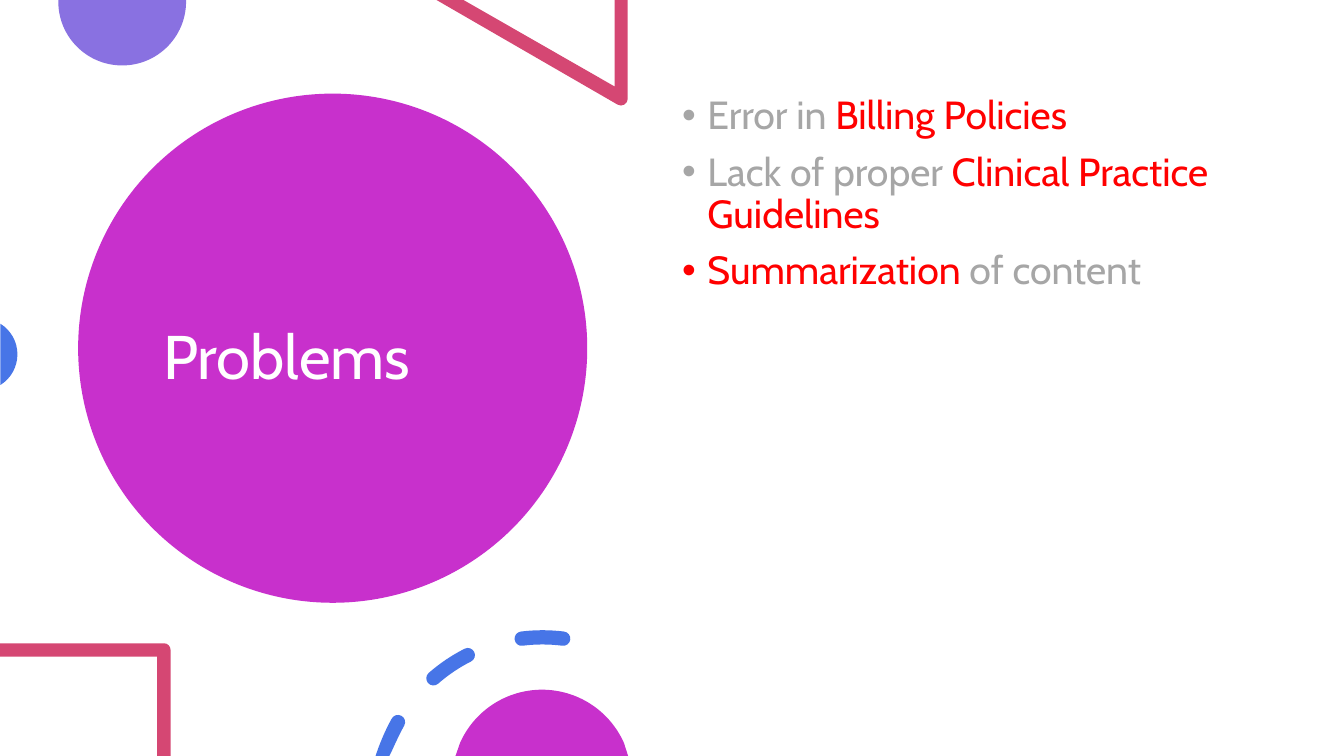
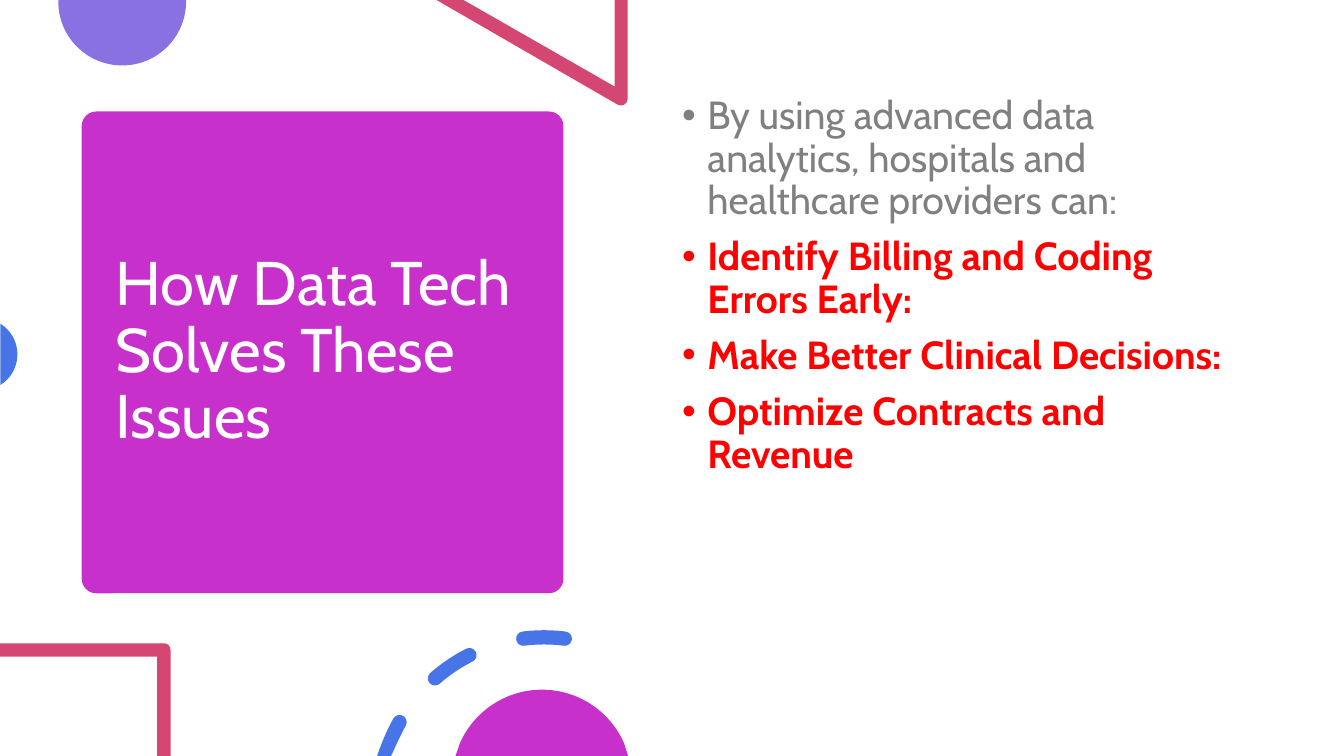
from dataclasses import dataclass
from itertools import chain
from math import ceil, cos, radians, sin, tan

from lxml.etree import SubElement
from pptx import Presentation
from pptx.dml.color import RGBColor
from pptx.enum.shapes import MSO_SHAPE as Preset
from pptx.enum.text import MSO_ANCHOR as Anchor
from pptx.oxml.ns import qn
from pptx.shapes.autoshape import Shape
from pptx.slide import Slide
from pptx.text.text import TextFrame
from pptx.util import Cm, Pt

WIDTH, HEIGHT = 33.87, 19.05
FONT = "Cabin"
MAGENTA = RGBColor(0xC8, 0x30, 0xCC)
VIOLET = RGBColor(0x89, 0x71, 0xE1)
ROSE = RGBColor(0xD5, 0x47, 0x73)
BLUE = RGBColor(0x47, 0x75, 0xE7)
RED = RGBColor(0xFF, 0x00, 0x00)
LIGHT_GRAY = RGBColor(0xA6, 0xA6, 0xA6)
GRAY = RGBColor(0x80, 0x80, 0x80)
WHITE = RGBColor(0xFF, 0xFF, 0xFF)

BODY_BOX = (16.94, 2.29, 14.61, 13.6)
BULLET_INDENT = 0.64

Point = tuple[float, float]
Step = tuple[Point, ...]
Box = tuple[float, float, float, float]


@dataclass(frozen=True)
class Phrase:
    text: str
    color: RGBColor


@dataclass(frozen=True)
class Bullet:
    phrases: tuple[Phrase, ...]
    bold: bool = False


@dataclass(frozen=True)
class Panel:
    preset: Preset
    box: Box
    corner: float | None = None


@dataclass(frozen=True)
class Topic:
    title: str
    title_box: Box
    panel: Panel
    ring_x: float
    bullets: tuple[Bullet, ...]


@dataclass(frozen=True)
class Ornament:
    color: RGBColor
    outlines: list[list[Step]]


TOPICS = (
    Topic(
        "Problems",
        (3.86, 3.42, 8.99, 11.3),
        Panel(Preset.OVAL, (1.97, 2.36, 12.83, 12.83)),
        13.67,
        (
            Bullet((Phrase("Error in ", LIGHT_GRAY), Phrase("Billing Policies", RED))),
            Bullet((
                Phrase("Lack of proper ", LIGHT_GRAY),
                Phrase("Clinical Practice Guidelines", RED),
            )),
            Bullet((Phrase("Summarization", RED), Phrase(" of content", LIGHT_GRAY))),
        ),
    ),
    Topic(
        "How Data Tech Solves These Issues",
        (2.67, 3.09, 10.95, 11.58),
        Panel(Preset.ROUNDED_RECTANGLE, (2.06, 2.81, 12.14, 12.14), 0.03),
        13.71,
        (
            Bullet((Phrase(
                "By using advanced data analytics, hospitals and healthcare providers can:",
                GRAY,
            ),)),
            Bullet((Phrase("Identify Billing and Coding Errors Early:", RED),), True),
            Bullet((Phrase("Make Better Clinical Decisions:", RED),), True),
            Bullet((Phrase("Optimize Contracts and Revenue", RED),), True),
        ),
    ),
)


def lines(*points: Point) -> list[Step]:
    return [(point,) for point in points]


def on_circle(center: Point, radius: float, degrees: float) -> Point:
    angle = radians(degrees)
    return center[0] + radius * cos(angle), center[1] + radius * sin(angle)


def arc(center: Point, radius: float, start: float, end: float) -> list[Step]:
    count = ceil(abs(end - start) / 90)
    sweep = (end - start) / count
    reach = 4 / 3 * tan(radians(sweep) / 4)
    steps = lines(on_circle(center, radius, start))
    for index in range(count):
        angle = start + index * sweep
        x0, y0 = on_circle(center, radius, angle)
        x1, y1 = on_circle(center, radius, angle + sweep)
        leave = (x0 - reach * (y0 - center[1]), y0 + reach * (x0 - center[0]))
        arrive = (x1 + reach * (y1 - center[1]), y1 - reach * (x1 - center[0]))
        steps.append((leave, arrive, (x1, y1)))
    return steps


def ring_dash(center: Point, middle: float) -> list[Step]:
    radius, half_width, half_sweep = 4.17, 0.18, 7.2
    start, end = middle - half_sweep, middle + half_sweep
    start_cap = on_circle(center, radius, start)
    end_cap = on_circle(center, radius, end)
    outline = (
        arc(center, radius + half_width, start, end)
        + arc(end_cap, half_width, end, end + 180)[1:]
        + arc(center, radius - half_width, end, start)[1:]
        + arc(start_cap, half_width, start + 180, start + 360)[1:]
    )
    return [tuple((x, min(y, HEIGHT)) for x, y in step) for step in outline]


def ornaments(ring_x: float) -> list[Ornament]:
    top_disc = lines((4.69, 0)) + arc((3.08, 0.04), 1.61, 0, 180) + lines((1.47, 0))
    triangle = lines(
        (15.82, 0), (15.49, 0), (15.49, 2.18), (11.68, 0), (11, 0)
    ) + arc((15.65, 2.49), 0.17, 120, 0)
    left_disc = arc((-0.47, 8.93), 0.91, -58, 58)
    square = lines(
        (0, 16.21), (0, 16.55), (3.96, 16.55), (3.96, HEIGHT), (4.3, HEIGHT)
    ) + arc((4.13, 16.38), 0.17, 0, -90)
    dashes = [ring_dash((ring_x, 20.23), 270 - 34 * index) for index in range(3)]
    dome = (
        lines((11.48, HEIGHT))
        + arc((13.66, 19.64), 2.26, 204, 336)
        + lines((15.83, HEIGHT))
    )
    return [
        Ornament(VIOLET, [top_disc]),
        Ornament(ROSE, [triangle]),
        Ornament(BLUE, [left_disc]),
        Ornament(ROSE, [square]),
        Ornament(BLUE, dashes),
        Ornament(MAGENTA, [dome]),
    ]


def paint(shape: Shape, color: RGBColor) -> None:
    shape.fill.solid()
    shape.fill.fore_color.rgb = color
    shape.line.fill.background()
    shape.shadow.inherit = False


def bend(shape: Shape, steps: list[Step]) -> None:
    segments = iter(list(shape._element.iter(qn("a:lnTo"))))
    for step in steps:
        segment = next(segments)
        if len(step) == 3:
            segment.tag = qn("a:cubicBezTo")
            for _ in range(2):
                follower = next(segments)
                segment.append(follower[0])
                follower.getparent().remove(follower)


def draw_ornament(slide: Slide, ornament: Ornament) -> None:
    builder = None
    for first, *rest in ornament.outlines:
        start = tuple(map(Cm, first[0]))
        if builder is None:
            builder = slide.shapes.build_freeform(*start)
        else:
            builder.move_to(*start)
        builder.add_line_segments(
            [(Cm(x), Cm(y)) for x, y in chain.from_iterable(rest)]
        )
    shape = builder.convert_to_shape()
    bend(shape, [step for outline in ornament.outlines for step in outline[1:]])
    paint(shape, ornament.color)


def draw_panel(slide: Slide, panel: Panel) -> None:
    shape = slide.shapes.add_shape(panel.preset, *map(Cm, panel.box))
    if panel.corner is not None:
        shape.adjustments[0] = panel.corner
    paint(shape, MAGENTA)


def add_text_area(slide: Slide, box: Box, anchor: Anchor) -> TextFrame:
    frame = slide.shapes.add_textbox(*map(Cm, box)).text_frame
    frame.word_wrap = True
    frame.vertical_anchor = anchor
    return frame


def draw_title(slide: Slide, topic: Topic) -> None:
    title = add_text_area(slide, topic.title_box, Anchor.MIDDLE).paragraphs[0]
    title.text = topic.title
    title.line_spacing = 0.9
    title.font.name = FONT
    title.font.size = Pt(44)
    title.font.color.rgb = WHITE


def draw_bullets(slide: Slide, bullets: tuple[Bullet, ...]) -> None:
    frame = add_text_area(slide, BODY_BOX, Anchor.TOP)
    for index, bullet in enumerate(bullets):
        paragraph = frame.add_paragraph() if index else frame.paragraphs[0]
        paragraph.line_spacing = 0.9
        paragraph.space_before = Pt(10)
        properties = paragraph._p.get_or_add_pPr()
        properties.set("marL", str(Cm(BULLET_INDENT)))
        properties.set("indent", str(-Cm(BULLET_INDENT)))
        SubElement(properties, qn("a:buFont"), typeface="Arial")
        SubElement(properties, qn("a:buChar"), char="•")
        paragraph.font.name = FONT
        paragraph.font.size = Pt(28)
        paragraph.font.bold = bullet.bold
        for phrase in bullet.phrases:
            run = paragraph.add_run()
            run.text = phrase.text
            run.font.color.rgb = phrase.color


def main() -> None:
    deck = Presentation()
    deck.slide_width, deck.slide_height = Cm(WIDTH), Cm(HEIGHT)
    for topic in TOPICS:
        slide = deck.slides.add_slide(deck.slide_layouts[6])
        draw_panel(slide, topic.panel)
        draw_title(slide, topic)
        for ornament in ornaments(topic.ring_x):
            draw_ornament(slide, ornament)
        draw_bullets(slide, topic.bullets)
    deck.save("out.pptx")


if __name__ == "__main__":
    main()
